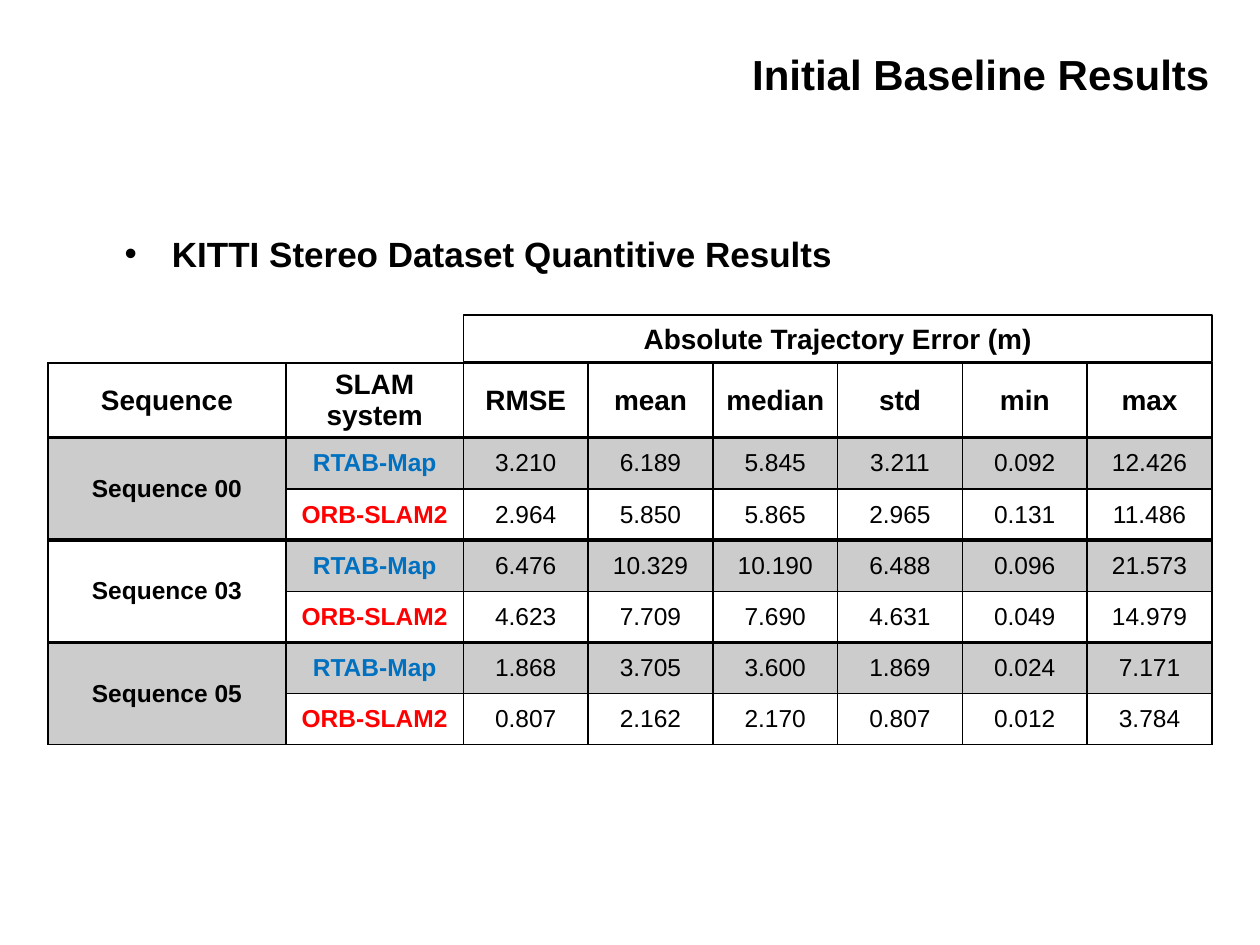
import pptx
import pptx.dml.color
import pptx.enum.shapes
import pptx.enum.text
import pptx.oxml
import pptx.util

Pt = pptx.util.Pt
ALIGN = pptx.enum.text.PP_ALIGN
ANCHOR = pptx.enum.text.MSO_ANCHOR

COLORS = {"text": "000000", "band": "CCCCCC", "white": "FFFFFF",
          "RTAB-Map": "0070C0", "ORB-SLAM2": "FF0000"}

HEADER = ["Sequence", "SLAM system", "RMSE", "mean", "median", "std", "min", "max"]
RESULTS = {
    "Sequence 00": {
        "RTAB-Map": ["3.210", "6.189", "5.845", "3.211", "0.092", "12.426"],
        "ORB-SLAM2": ["2.964", "5.850", "5.865", "2.965", "0.131", "11.486"]},
    "Sequence 03": {
        "RTAB-Map": ["6.476", "10.329", "10.190", "6.488", "0.096", "21.573"],
        "ORB-SLAM2": ["4.623", "7.709", "7.690", "4.631", "0.049", "14.979"]},
    "Sequence 05": {
        "RTAB-Map": ["1.868", "3.705", "3.600", "1.869", "0.024", "7.171"],
        "ORB-SLAM2": ["0.807", "2.162", "2.170", "0.807", "0.012", "3.784"]},
}
COL_WIDTHS = [136, 101.4] + [71.3] * 6
ROW_HEIGHTS = [42.5] + [29.25] * 6
ROW_EDGES = [1, 2, 1, 2.25, 1, 2.25, 1, 1]  # rule widths from top to bottom


def rgb(name):
    return pptx.dml.color.RGBColor.from_string(COLORS[name])


class ResultsSlide:
    font = "Arial"

    def __init__(self, prs):
        self.s = prs.slides.add_slide(prs.slide_layouts[1])

    def format(self, p, size, bold=True, color="text", align=ALIGN.CENTER):
        p.alignment = align
        p.font.name = self.font
        p.font.size = Pt(size)
        p.font.bold = bold
        p.font.color.rgb = rgb(color)

    def placeholder(self, sp, text, box, size, align):
        sp.left, sp.top, sp.width, sp.height = map(Pt, box)
        tf = sp.text_frame
        tf.text = text
        tf.auto_size = pptx.enum.text.MSO_AUTO_SIZE.NONE
        tf.vertical_anchor = ANCHOR.TOP
        tf.margin_top = Pt(6)
        p = tf.paragraphs[0]
        self.format(p, size, align=align)
        return p

    def title(self, text, *box):
        self.placeholder(self.s.shapes.title, text, box, 24, ALIGN.RIGHT)

    def bullet(self, text, *box):
        p = self.placeholder(self.s.placeholders[1], text, box, 20, ALIGN.LEFT)
        p.space_before, p.space_after = Pt(12), Pt(6)
        pPr = p._p.get_or_add_pPr()
        pPr.set("marL", str(Pt(27)))
        pPr.set("indent", str(Pt(-27)))

    def framed_label(self, text, *box):
        sp = self.s.shapes.add_shape(pptx.enum.shapes.MSO_SHAPE.RECTANGLE, *map(Pt, box))
        sp.shadow.inherit = False
        sp.fill.background()
        sp.line.color.rgb = rgb("text")
        sp.line.width = Pt(1)
        sp.text_frame.text = text
        self.format(sp.text_frame.paragraphs[0], 16)

    def table(self, left, top):
        frame = self.s.shapes.add_table(
            len(ROW_HEIGHTS), len(COL_WIDTHS), Pt(left), Pt(top),
            Pt(sum(COL_WIDTHS)), Pt(sum(ROW_HEIGHTS)))
        table = frame.table
        table.first_row = table.horz_banding = False
        for col, width in zip(table.columns, COL_WIDTHS):
            col.width = Pt(width)
        for row, height in zip(table.rows, ROW_HEIGHTS):
            row.height = Pt(height)
        return table

    def cell(self, table, row, col, text, size=14, bold=True, color="text",
             fill=None, span=1):
        cell = table.cell(row, col)
        if span > 1:
            cell.merge(table.cell(row + span - 1, col))
        for r in range(row, row + span):
            self.borders(table.cell(r, col), ROW_EDGES[row], ROW_EDGES[row + span])
        if fill:
            cell.fill.solid()
            cell.fill.fore_color.rgb = rgb(fill)
        else:
            cell.fill.background()
        cell.vertical_anchor = ANCHOR.MIDDLE
        cell.text = text
        self.format(cell.text_frame.paragraphs[0], size, bold, color)

    def borders(self, cell, top, bottom):
        tcPr = cell._tc.get_or_add_tcPr()
        for side, width in zip("LRTB", (1, 1, top, bottom)):
            tcPr.append(pptx.oxml.parse_xml(
                f'<a:ln{side} xmlns:a="http://schemas.openxmlformats.org/drawingml/2006/main"'
                f' w="{Pt(width)}"><a:solidFill><a:srgbClr val="{COLORS["text"]}"/>'
                f'</a:solidFill></a:ln{side}>'))


def main():
    prs = pptx.Presentation()
    prs.slide_width, prs.slide_height = Pt(720), Pt(540)
    slide = ResultsSlide(prs)
    slide.title("Initial Baseline Results", 195, 21.6, 503.4, 28.8)
    slide.bullet("KITTI Stereo Dataset Quantitive Results", 64, 126.7, 595.4, 367.2)
    slide.framed_label("Absolute Trajectory Error (m)", 264.8, 180, 427.8, 26.7)

    table = slide.table(27.4, 207.4)
    for col, name in enumerate(HEADER):
        slide.cell(table, 0, col, name, size=16)
    row = 1
    for group, (sequence, systems) in enumerate(RESULTS.items()):
        slide.cell(table, row, 0, sequence, span=len(systems),
                   fill="white" if group % 2 else "band")
        for system, values in systems.items():
            fill = "band" if system == "RTAB-Map" else None
            slide.cell(table, row, 1, system, color=system, fill=fill)
            for col, value in enumerate(values, 2):
                slide.cell(table, row, col, value, bold=False, fill=fill)
            row += 1
    prs.save("out.pptx")


if __name__ == "__main__":
    main()
